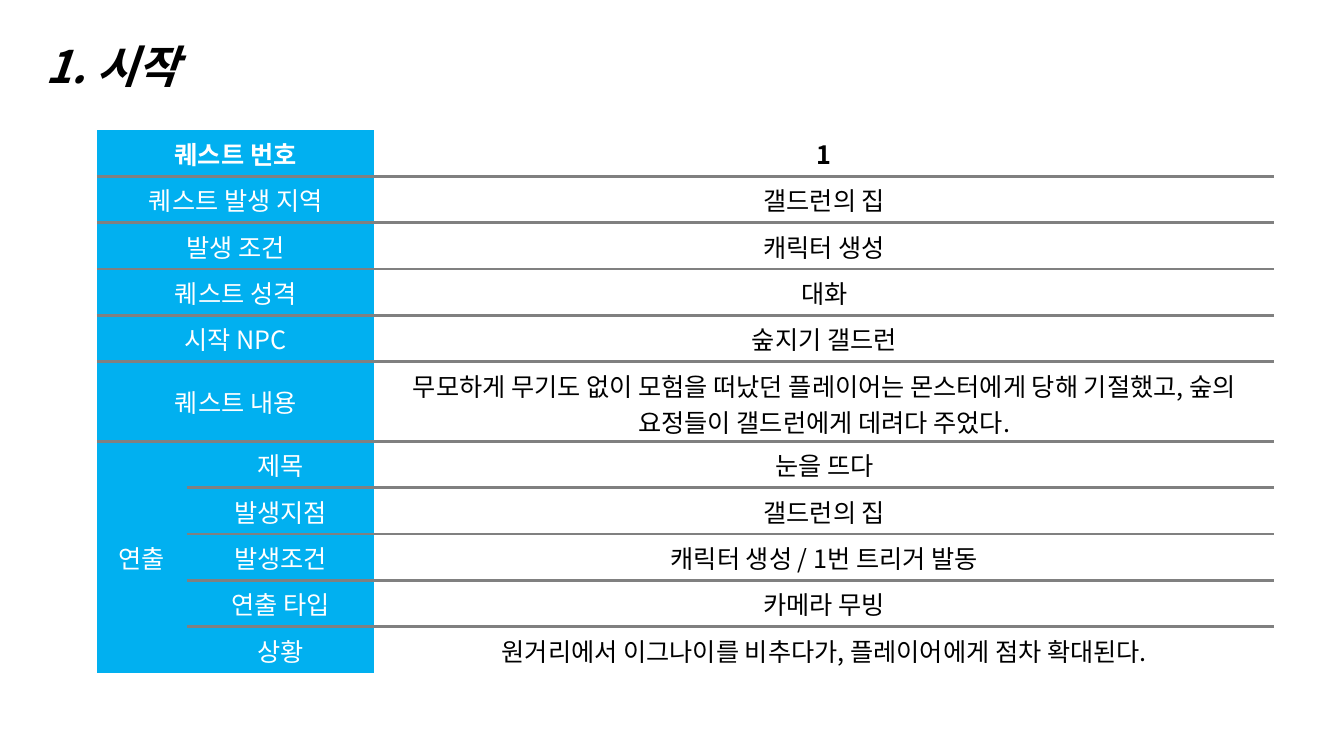
from lxml.etree import SubElement
from pptx import Presentation
from pptx.dml.color import RGBColor
from pptx.enum.text import MSO_ANCHOR, MSO_AUTO_SIZE, PP_ALIGN
from pptx.oxml.ns import qn
from pptx.util import Pt

FONT = "Noto Sans CJK KR"
BLACK = RGBColor(0, 0, 0)
WHITE = RGBColor(255, 255, 255)
SKY = RGBColor(0x01, 0xB0, 0xF0)
GRAY = RGBColor(0x80, 0x80, 0x80)
NO_GRID_STYLE = "{2D5ABB26-0587-4C30-8999-92F81FD0307C}"

QUEST = [
    ("퀘스트 번호", "1"),
    ("퀘스트 발생 지역", "갤드런의 집"),
    ("발생 조건", "캐릭터 생성"),
    ("퀘스트 성격", "대화"),
    ("시작 NPC", "숲지기 갤드런"),
    ("퀘스트 내용", "무모하게 무기도 없이 모험을 떠났던 플레이어는 몬스터에게 당해 기절했고, 숲의 요정들이 갤드런에게 데려다 주었다."),
]
SCENE = [
    ("제목", "눈을 뜨다"),
    ("발생지점", "갤드런의 집"),
    ("발생조건", "캐릭터 생성 / 1번 트리거 발동"),
    ("연출 타입", "카메라 무빙"),
    ("상황", "원거리에서 이그나이를 비추다가, 플레이어에게 점차 확대된다."),
]
SCENE_START = len(QUEST)
LAST_ROW = len(QUEST + SCENE) - 1
COLUMN_WIDTHS = (64.4, 134, 642.6)
ROW_HEIGHT = 33.12
STORY_ROW = 5
STORY_HEIGHT = 56.88


def style_text(para, size, color, bold, italic=False):
    for span in para.runs:
        font = span.font
        font.size, font.bold, font.italic = Pt(size), bold, italic
        font.color.rgb = color
        font.name = FONT
        SubElement(font._element, qn("a:ea"), typeface=FONT)


def add_title(slide, text):
    box = slide.shapes.add_textbox(Pt(25.2), Pt(23.76), Pt(117.4), Pt(46))
    frame = box.text_frame
    frame.word_wrap = False
    frame.auto_size = MSO_AUTO_SIZE.SHAPE_TO_FIT_TEXT
    frame.text = text
    style_text(frame.paragraphs[0], 32, BLACK, True, True)


def add_rule(cell, side):
    line = SubElement(cell._tc.get_or_add_tcPr(), qn("a:" + side), w=str(Pt(2.25)))
    fill = SubElement(line, qn("a:solidFill"))
    SubElement(fill, qn("a:srgbClr"), val=str(GRAY))


def format_cell(cell, row, column):
    in_scene_label = column == 0 and row >= SCENE_START
    if row > 0 and not (in_scene_label and row > SCENE_START):
        add_rule(cell, "lnT")
    if row < LAST_ROW and not in_scene_label:
        add_rule(cell, "lnB")
    if column < 2:
        cell.fill.solid()
        cell.fill.fore_color.rgb = SKY
    else:
        cell.fill.background()
    cell.vertical_anchor = MSO_ANCHOR.MIDDLE
    para = cell.text_frame.paragraphs[0]
    para.alignment = PP_ALIGN.CENTER
    style_text(para, 18, WHITE if column < 2 else BLACK, row == 0)


def add_quest_table(slide):
    height = ROW_HEIGHT * LAST_ROW + STORY_HEIGHT
    frame = slide.shapes.add_table(
        LAST_ROW + 1, 3, Pt(69.12), Pt(92.88), Pt(sum(COLUMN_WIDTHS)), Pt(height)
    )
    table = frame.table
    table.first_row = table.horz_banding = False
    table._tbl.tblPr.find(qn("a:tableStyleId")).text = NO_GRID_STYLE
    for column, width in zip(table.columns, COLUMN_WIDTHS):
        column.width = Pt(width)
    for index, row in enumerate(table.rows):
        row.height = Pt(STORY_HEIGHT if index == STORY_ROW else ROW_HEIGHT)

    for index, (label, value) in enumerate(QUEST + SCENE):
        label_column = 0 if index < SCENE_START else 1
        table.cell(index, label_column).text_frame.text = label
        table.cell(index, 2).text_frame.text = value
        if label_column == 0:
            table.cell(index, 0).merge(table.cell(index, 1))
    table.cell(SCENE_START, 0).text_frame.text = "연출"
    table.cell(SCENE_START, 0).merge(table.cell(LAST_ROW, 0))

    for row in range(LAST_ROW + 1):
        for column in range(3):
            format_cell(table.cell(row, column), row, column)


def main():
    deck = Presentation()
    deck.slide_width, deck.slide_height = Pt(960), Pt(540)
    page = deck.slides.add_slide(deck.slide_layouts[6])
    add_title(page, "1. 시작")
    add_quest_table(page)
    deck.save("out.pptx")


if __name__ == "__main__":
    main()
